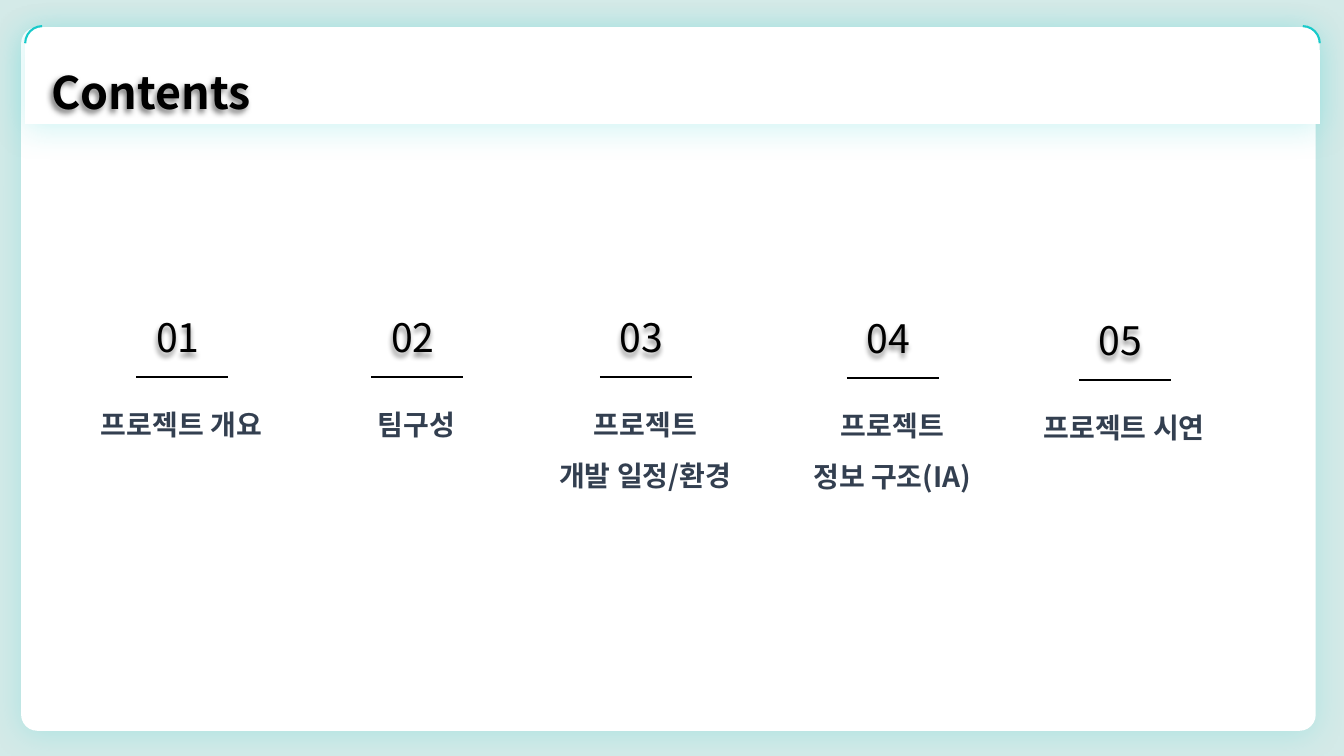
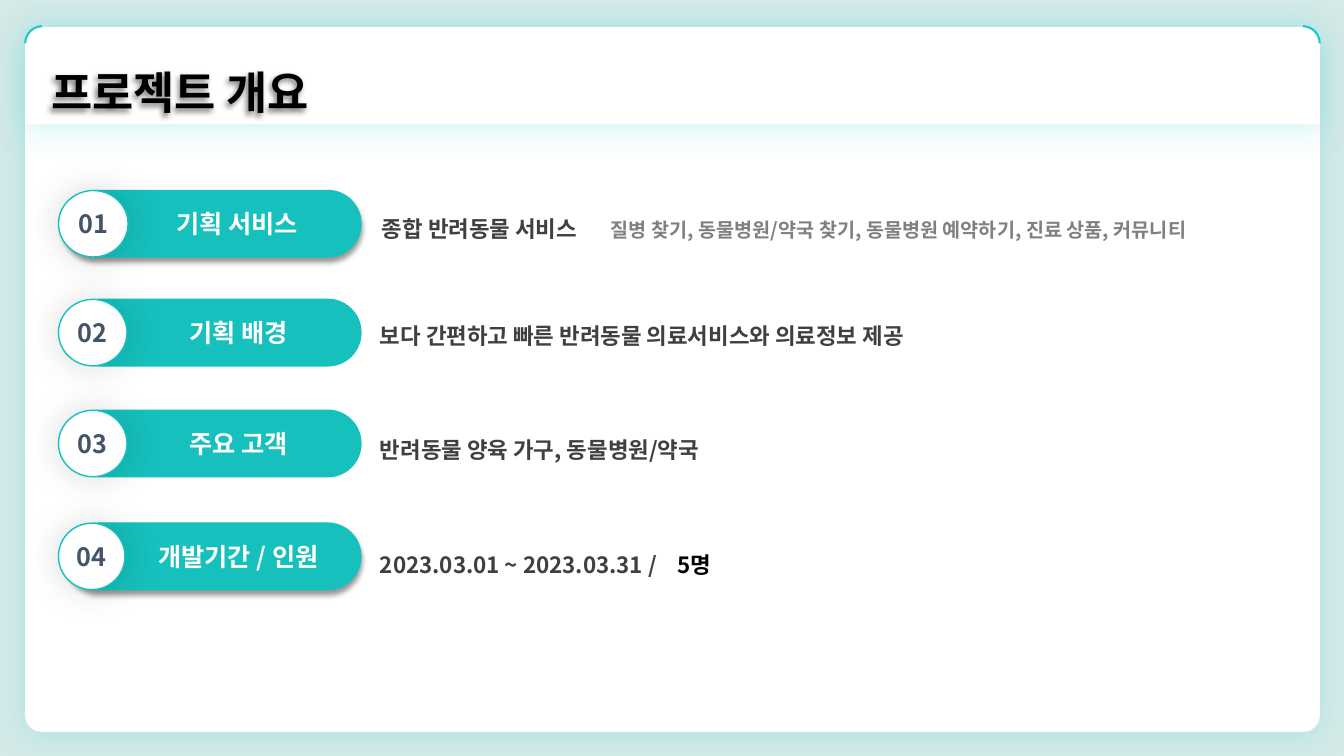
from lxml.etree import SubElement
from pptx import Presentation
from pptx.dml.color import RGBColor
from pptx.enum.shapes import MSO_CONNECTOR, MSO_SHAPE
from pptx.enum.text import MSO_ANCHOR, MSO_AUTO_SIZE, PP_ALIGN
from pptx.oxml.ns import qn
from pptx.util import Inches, Pt

FONT = "Noto Sans CJK KR"
COLORS = {
    "background": "D4EAE8",
    "white": "FFFFFF",
    "black": "000000",
    "accent": "18CACA",
    "pill": "16C0BC",
    "heading": "333F50",
    "number": "44546A",
    "body": "404040",
    "muted": "808080",
}
PANEL_SHADOW = ("accent", 20, 23, 3, 90)
PILL_SHADOW = ("black", 40, 4, 3, 90)
BADGE_SHADOW = ("black", 14, 26, 0, 0)
TITLE_SHADOW = ("black", 50, 4, 3, 135)
NUMBER_SHADOW = ("black", 45, 4, 3, 100)

CONTENTS = [
    (0.7, 3.06, ["프로젝트 개요"]),
    (3.03, 3.06, ["팀구성"]),
    (5.3, 3.06, ["프로젝트", "개발 일정/환경"]),
    (7.75, 3.07, ["프로젝트", "정보 구조(IA)"]),
    (10.05, 3.09, ["프로젝트 시연"]),
]
OVERVIEW = [
    ("기획 서비스", 1.89, 0.62, 0.69, PILL_SHADOW, (3.69, 1.95),
     [("종합 반려동물 서비스\t", 16, "body"),
      ("질병 찾기, 동물병원/약국 찾기, 동물병원 예약하기, 진료 상품, 커뮤니티", 14, "muted")], 2.27),
    ("기획 배경", 2.97, 0.66, 0.68, None, (3.67, 3.01),
     [("보다 간편하고 빠른 반려동물 의료서비스와 의료정보 제공", 16, "body")], None),
    ("주요 고객", 4.07, 0.66, 0.68, None, (3.67, 4.14),
     [("반려동물 양육 가구, 동물병원/약국", 16, "body")], None),
    ("개발기간 / 인원", 5.19, 0.65, 0.66, PILL_SHADOW, (3.67, 5.29),
     [("2023.03.01 ~ 2023.03.31 /\t", 16, "body"), ("5명", 16, "black")], 2.95),
]


def color(name):
    return RGBColor.from_string(COLORS[name])


def add_shadow(shape, shadow):
    name, opacity, blur, distance, angle = shadow
    effects = SubElement(shape._element.spPr, qn("a:effectLst"))
    outer = SubElement(effects, qn("a:outerShdw"), blurRad=str(Pt(blur)), dist=str(Pt(distance)),
                       dir=str(angle * 60000), algn="ctr", rotWithShape="0")
    tint = SubElement(outer, qn("a:srgbClr"), val=COLORS[name])
    SubElement(tint, qn("a:alpha"), val=str(opacity * 1000))


def add_figure(shapes, kind, left, top, width, height, fill=None, line=None, weight=1, shadow=None):
    shape = shapes.add_shape(kind, Inches(left), Inches(top), Inches(width), Inches(height))
    if fill:
        shape.fill.solid()
        shape.fill.fore_color.rgb = color(fill)
    else:
        shape.fill.background()
    if line:
        shape.line.color.rgb = color(line)
        shape.line.width = Pt(weight)
    else:
        shape.line.fill.background()
    if shadow:
        add_shadow(shape, shadow)
    else:
        shape.shadow.inherit = False
    return shape


def style_span(span, size, name, bold=True):
    span.font.size = Pt(size)
    span.font.bold = bold
    span.font.name = FONT
    span.font.color.rgb = color(name)
    SubElement(span._r.get_or_add_rPr(), qn("a:ea"), typeface=FONT)


def add_label(shape, text, name):
    frame = shape.text_frame
    frame.text = text
    frame.vertical_anchor = MSO_ANCHOR.MIDDLE
    para = frame.paragraphs[0]
    para.alignment = PP_ALIGN.CENTER
    style_span(para.runs[0], 18, name)
    return para


def add_text(page, left, top, width, height, lines, align=None, spacing=None, shadow=None):
    box = page.shapes.add_textbox(Inches(left), Inches(top), Inches(width), Inches(height))
    frame = box.text_frame
    frame.word_wrap = True
    frame.auto_size = MSO_AUTO_SIZE.SHAPE_TO_FIT_TEXT
    for index, spans in enumerate(lines):
        para = frame.add_paragraph() if index else frame.paragraphs[0]
        para.alignment = align
        para.line_spacing = spacing
        for text, *style in spans:
            span = para.add_run()
            span.text = text
            style_span(span, *style)
    if shadow:
        add_shadow(box, shadow)
    return box


def add_tab_stop(box, position):
    properties = box.text_frame.paragraphs[0]._p.get_or_add_pPr()
    stops = SubElement(properties, qn("a:tabLst"))
    SubElement(stops, qn("a:tab"), pos=str(Inches(position)), algn="l")


def add_rule(page, left, top, width):
    rule = page.shapes.add_connector(MSO_CONNECTOR.STRAIGHT, Inches(left), Inches(top),
                                     Inches(left + width), Inches(top))
    rule.line.color.rgb = color("black")
    rule.line.width = Pt(2)
    SubElement(rule._element.spPr, qn("a:effectLst"))


def add_page(deck, title, panel_left, panel_top):
    page = deck.slides.add_slide(deck.slide_layouts[6])
    page.background.fill.solid()
    page.background.fill.fore_color.rgb = color("background")
    panel = add_figure(page.shapes, MSO_SHAPE.ROUNDED_RECTANGLE, panel_left, panel_top, 12.84, 6.98,
                       "white", shadow=PANEL_SHADOW)
    panel.adjustments[0] = 0.023
    add_figure(page.shapes, MSO_SHAPE.ROUND_2_SAME_RECTANGLE, 0.25, 0.27, 12.84, 0.96,
               "white", shadow=PANEL_SHADOW)
    for left, flipped in ((0.25, False), (12.75, True)):
        corner = add_figure(page.shapes, MSO_SHAPE.ARC, left, 0.26, 0.34, 0.34, line="accent", weight=1.5)
        corner.adjustments[0] = 108.1
        corner.adjustments[1] = 161.63
        if flipped:
            corner._element.spPr.xfrm.set("flipH", "1")
    add_text(page, 0.41, 0.59, 4.68, 0.64, [[(title, 32, "black")]], shadow=TITLE_SHADOW)
    return page


def add_content_item(page, number, left, top, lines):
    add_text(page, left + 0.75, top, 1.25, 0.57, [[(f"{number:02}", 28, "black", False)]],
             shadow=NUMBER_SHADOW)
    add_rule(page, left + 0.65, top + 0.68, 0.91)
    add_text(page, left, top + 0.77, 2.2, 0.56 * len(lines),
             [[(line, 20, "heading")] for line in lines], PP_ALIGN.CENTER, 1.5)


def add_overview_row(page, number, label, top, pill_left, badge_width, shadow, place, spans, tab):
    group = page.shapes.add_group_shape()
    pill = add_figure(group.shapes, MSO_SHAPE.ROUNDED_RECTANGLE, pill_left, top, 3.58 - pill_left, 0.66,
                      "pill", "pill", shadow=shadow)
    pill.adjustments[0] = 0.5
    para = add_label(pill, label, "white")
    para.level = 1
    properties = para._p.get_or_add_pPr()
    properties.set("marL", str(Inches(0.5)))
    properties.set("indent", "0")
    badge = add_figure(group.shapes, MSO_SHAPE.OVAL, 0.58, top, badge_width, 0.66,
                       "white", "pill", shadow=BADGE_SHADOW)
    add_label(badge, f"{number:02}", "number")
    badge.text_frame.word_wrap = False
    box = add_text(page, *place, 9.08, 0.5, [spans], spacing=1.5)
    if tab:
        add_tab_stop(box, tab)


def main():
    deck = Presentation()
    deck.slide_width = Inches(13.33)
    deck.slide_height = Inches(7.5)
    contents = add_page(deck, "Contents", 0.21, 0.27)
    for number, item in enumerate(CONTENTS, 1):
        add_content_item(contents, number, *item)
    overview = add_page(deck, "프로젝트 개요", 0.25, 0.28)
    for number, row in enumerate(OVERVIEW, 1):
        add_overview_row(overview, number, *row)
    deck.save("out.pptx")


main()
